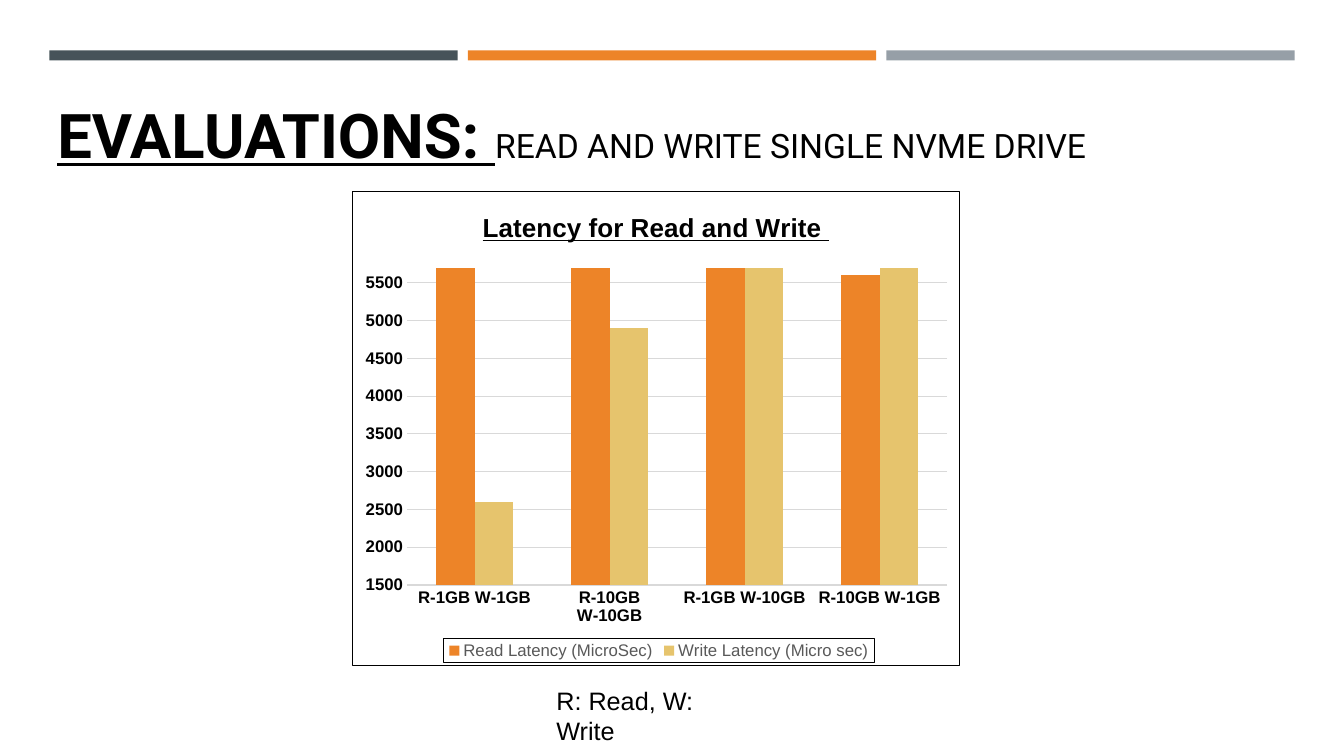
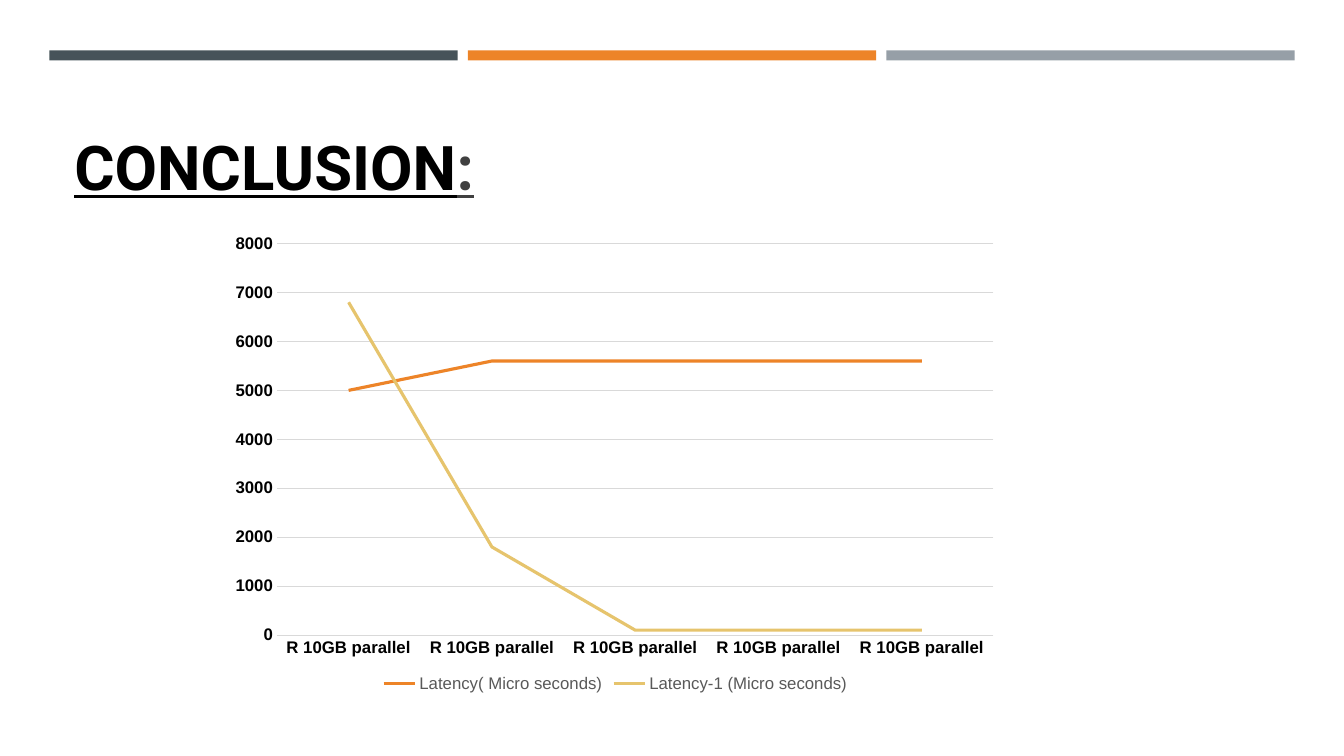
import pptx
import pptx.util
import pptx.chart.data
import pptx.dml.color
import pptx.enum.chart
import pptx.enum.shapes
import pptx.enum.text
import pptx.oxml
import pptx.oxml.ns

Inches, Pt = pptx.util.Inches, pptx.util.Pt
qn = pptx.oxml.ns.qn
ChartType = pptx.enum.chart.XL_CHART_TYPE

# Theme: colours, fonts and type sizes
THEME = {
    "bands": ["465359", "ED8428", "969FA7"],
    "series": ["ED8428", "E6C46D"],
    "black": "000000", "soft": "404040", "muted": "595959", "grid": "D9D9D9",
    "head": "Roboto", "body": "Arial",
    "title": 44, "subtitle": 24, "note": 18, "chart_title": 18.6, "label": 12,
    "hairline": 0.75, "curve": 2.25,
}
HEADING = {"name": THEME["head"], "size": THEME["title"], "color": THEME["black"],
           "bold": True, "underline": True}
SUBHEADING = {**HEADING, "size": THEME["subtitle"], "bold": False, "underline": False}
NOTE = {"name": THEME["body"], "size": THEME["note"], "color": THEME["black"]}
CHART_TITLE = {**NOTE, "size": THEME["chart_title"], "bold": True, "underline": True}
AXIS = {"name": THEME["body"], "size": THEME["label"], "color": THEME["black"], "bold": True}
LEGEND = {**AXIS, "color": THEME["muted"], "bold": False}

# Content: boxes are left, top, width, height in inches; layouts are chart fractions
SLIDES = [
    {
        "title": [("EVALUATIONS: ", HEADING),
                  ("READ AND WRITE SINGLE NVME DRIVE", SUBHEADING)],
        "title_box": (0.47, 0.45, 12.06, 1.3),
        "chart": {
            "type": ChartType.COLUMN_CLUSTERED,
            "box": (3.49, 1.89, 6.03, 4.72),
            "title": "Latency for Read and Write ",
            "cats": ["R-1GB W-1GB", "R-10GB W-10GB", "R-1GB W-10GB", "R-10GB W-1GB"],
            "series": {"Read Latency (MicroSec)": [5700, 5700, 5700, 5600],
                       "Write Latency (Micro sec)": [2600, 4900, 5700, 5700]},
            "scale": {"minimum_scale": 1500, "maximum_scale": 5900, "major_unit": 500},
            "plot_layout": (0.09, 0.13, 0.89, 0.7),
            "legend_layout": (0.15, 0.95, 0.71, 0.05),
            "framed": True,
        },
        "note": "R: Read, W: Write",
        "note_box": (5.42, 6.75, 2.16, 0.4),
    },
    {
        "title": [("CONCLUSION", HEADING), (":", {**HEADING, "color": THEME["soft"]})],
        "title_box": (0.64, 0.77, 12.06, 1.3),
        "chart": {
            "type": ChartType.LINE,
            "box": (2.2, 2.23, 7.81, 4.68),
            "cats": ["R 10GB parallel"] * 5,
            "series": {"Latency( Micro seconds)": [5000, 5600, 5600, 5600, 5600],
                       "Latency-1 (Micro seconds)": [6800, 1800, 100, 100, 100]},
            "scale": {"minimum_scale": 0, "maximum_scale": 8000, "major_unit": 1000},
            "plot_layout": (0.07, 0.04, 0.91, 0.83),
        },
    },
]


def rgb(value):
    return pptx.dml.color.RGBColor.from_string(value)


def inches(box):
    return [Inches(v) for v in box]


def set_font(font, style):
    for key, value in style.items():
        if key == "color":
            font.color.rgb = rgb(value)
        else:
            setattr(font, key, Pt(value) if key == "size" else value)


def set_line(line, color, width):
    line.color.rgb = rgb(color)
    line.width = Pt(width)


def add_bands(s, left=0.49, top=0.5, width=4.05, height=0.1, gap=0.1):
    for i, color in enumerate(THEME["bands"]):
        band = s.shapes.add_shape(pptx.enum.shapes.MSO_SHAPE.RECTANGLE,
                                  *inches((left + i * (width + gap), top, width, height)))
        band.shadow.inherit = False
        band.fill.solid()
        band.fill.fore_color.rgb = rgb(color)
        band.line.fill.background()


def add_text(s, box, runs, frame, spacing=None):
    tf = s.shapes.add_textbox(*inches(box)).text_frame
    for key, value in {"word_wrap": True, **frame}.items():
        setattr(tf, key, value)
    p = tf.paragraphs[0]
    p.line_spacing = spacing
    for text, style in runs:
        r = p.add_run()
        r.text = text
        set_font(r.font, style)


# Chart details that need XML
def chart_xml(tag, body):
    return pptx.oxml.parse_xml(
        f'<c:{tag} xmlns:c="http://schemas.openxmlformats.org/drawingml/2006/chart" '
        f'xmlns:a="http://schemas.openxmlformats.org/drawingml/2006/main">{body}</c:{tag}>')


def set_layout(parent, layout, index, inner=False):
    fields = '<c:layoutTarget val="inner"/>' if inner else ""
    fields += '<c:xMode val="edge"/><c:yMode val="edge"/>'
    fields += "".join(f'<c:{k} val="{v}"/>' for k, v in zip("xywh", layout))
    parent.insert(index, chart_xml("layout", f"<c:manualLayout>{fields}</c:manualLayout>"))


def drop_layout(parent):
    for old in parent.findall(qn("c:layout")):
        parent.remove(old)


def add_frame(element):
    element.addnext(chart_xml("spPr", (
        f'<a:noFill/><a:ln w="{Pt(THEME["hairline"])}"><a:solidFill>'
        f'<a:srgbClr val="{THEME["black"]}"/></a:solidFill></a:ln>')))


def style_axes(chart, scale):
    cat, val = chart.category_axis, chart.value_axis
    for axis in (cat, val):
        axis.major_tick_mark = axis.minor_tick_mark = pptx.enum.chart.XL_TICK_MARK.NONE
        set_font(axis.tick_labels.font, AXIS)
    for line in (cat.format.line, val.major_gridlines.format.line):
        set_line(line, THEME["grid"], THEME["hairline"])
    val.format.line.fill.background()
    for key, value in scale.items():
        setattr(val, key, value)


def style_series(chart, is_line):
    plot = chart.plots[0]
    plot.vary_by_categories = False
    if not is_line:
        plot.gap_width, plot.overlap = 150, 0
    for series, color in zip(plot.series, THEME["series"]):
        if is_line:
            series.smooth = False
            set_line(series.format.line, color, THEME["curve"])
        else:
            series.format.fill.solid()
            series.format.fill.fore_color.rgb = rgb(color)


def add_chart(s, spec_data):
    data = pptx.chart.data.CategoryChartData()
    data.categories = spec_data["cats"]
    for name, values in spec_data["series"].items():
        data.add_series(name, values)
    chart = s.shapes.add_chart(spec_data["type"], *inches(spec_data["box"]), data).chart
    set_font(chart.font, {**LEGEND, "size": 10, "color": THEME["black"]})
    style_axes(chart, spec_data["scale"])
    style_series(chart, spec_data["type"] == ChartType.LINE)

    # Title
    chart.has_title = "title" in spec_data
    if chart.has_title:
        r = chart.chart_title.text_frame.paragraphs[0].add_run()
        r.text = spec_data["title"]
        set_font(r.font, CHART_TITLE)
        chart.chart_title.include_in_layout = False

    # Legend
    chart.has_legend = True
    chart.legend.position = pptx.enum.chart.XL_LEGEND_POSITION.BOTTOM
    chart.legend.include_in_layout = False
    set_font(chart.legend.font, LEGEND)

    # Layout and frames
    root = chart._chartSpace.find(qn("c:chart"))
    plot_area, legend = root.find(qn("c:plotArea")), root.find(qn("c:legend"))
    drop_layout(plot_area)
    set_layout(plot_area, spec_data["plot_layout"], 0, inner=True)
    overlay = legend.find(qn("c:overlay"))
    if "legend_layout" in spec_data:
        drop_layout(legend)
        set_layout(legend, spec_data["legend_layout"], legend.index(overlay))
    if spec_data.get("framed"):
        add_frame(root)
        add_frame(overlay)


def main():
    prs = pptx.Presentation()
    prs.slide_width, prs.slide_height = Inches(13.33), Inches(7.5)
    for content in SLIDES:
        s = prs.slides.add_slide(prs.slide_layouts[6])
        add_bands(s)
        add_text(s, content["title_box"], content["title"],
                 {"vertical_anchor": pptx.enum.text.MSO_ANCHOR.BOTTOM}, 0.9)
        add_chart(s, content["chart"])
        if "note" in content:
            add_text(s, content["note_box"], [(content["note"], NOTE)],
                     {"auto_size": pptx.enum.text.MSO_AUTO_SIZE.SHAPE_TO_FIT_TEXT})
    prs.save("out.pptx")


if __name__ == "__main__":
    main()
